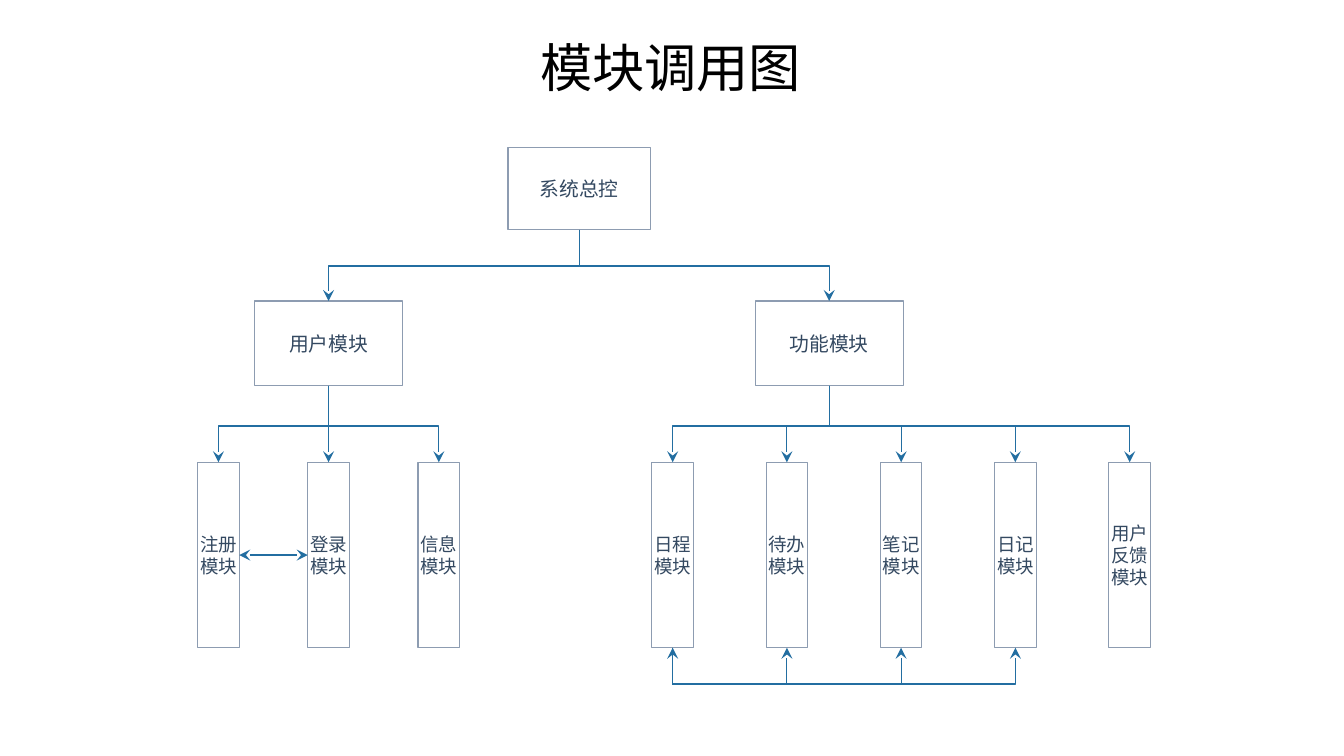
from dataclasses import dataclass

from lxml import etree
from pptx import Presentation
from pptx.dml.color import RGBColor
from pptx.enum.shapes import MSO_CONNECTOR, MSO_SHAPE
from pptx.enum.text import MSO_ANCHOR, MSO_AUTO_SIZE, PP_ALIGN
from pptx.oxml.ns import qn
from pptx.util import Inches, Pt

RECT = MSO_SHAPE.RECTANGLE
STRAIGHT = MSO_CONNECTOR.STRAIGHT
MIDDLE = MSO_ANCHOR.MIDDLE
CENTER = PP_ALIGN.CENTER
GROW = MSO_AUTO_SIZE.SHAPE_TO_FIT_TEXT
TOP, LEFT, BOTTOM, RIGHT = range(4)


@dataclass(frozen=True)
class Theme:
    """Colours, type sizes and line width of the slide."""
    font: str = "Noto Sans CJK SC"
    title: RGBColor = RGBColor(0, 0, 0)
    text: RGBColor = RGBColor.from_string("344961")
    fill: RGBColor = RGBColor.from_string("FFFFFF")
    edge: RGBColor = RGBColor.from_string("8D9CB1")
    flow: RGBColor = RGBColor.from_string("236EA1")
    title_size: float = 28
    node_size: float = 10.6
    leaf_size: float = 9.9
    line: float = 0.6


THEME = Theme()


def write(shape, text, size, color):
    """Put one styled line of text in a shape."""
    shape.text_frame.text = text
    font = shape.text_frame.paragraphs[0].runs[0].font
    font.size = Pt(size)
    font.color.rgb = color
    font.name = THEME.font
    for props in shape.element.iter(qn("a:rPr")):
        etree.SubElement(props, qn("a:ea"), typeface=THEME.font)


def add_node(slide, box, text, size):
    """Draw a module box with centred text."""
    node = slide.shapes.add_shape(RECT, *box)
    node.shadow.inherit = False
    node.fill.solid()
    node.fill.fore_color.rgb = THEME.fill
    node.line.color.rgb = THEME.edge
    node.line.width = Pt(THEME.line)
    frame = node.text_frame
    frame.margin_left = frame.margin_right = 0
    frame.margin_top = frame.margin_bottom = 0
    frame.word_wrap = True
    frame.vertical_anchor = MIDDLE
    write(node, text, size, THEME.text)
    frame.paragraphs[0].alignment = CENTER
    return node


def style_flow(shape, both):
    """Colour a flow line and add its arrowheads."""
    shape.line.color.rgb = THEME.flow
    shape.line.width = Pt(THEME.line)
    line = shape.element.spPr.find(qn("a:ln"))
    for tag in ("a:headEnd", "a:tailEnd") if both else ("a:tailEnd",):
        etree.SubElement(line, qn(tag), type="stealth")


def add_route(slide, points, both=False):
    """Draw a bent flow line through the points."""
    form = slide.shapes.build_freeform(*points[0], scale=1.0)
    form.add_line_segments(points[1:], close=False)
    route = form.convert_to_shape()
    route.shadow.inherit = False
    route.fill.background()
    style_flow(route, both)


def add_link(slide, start, out, end, into, both=False):
    """Join the sides of two nodes with a straight arrow."""
    link = slide.shapes.add_connector(STRAIGHT, 0, 0, 0, 0)
    link.begin_connect(start, out)
    link.end_connect(end, into)
    style_flow(link, both)
    etree.SubElement(link.element.spPr, qn("a:effectLst"))


def mid_x(node):
    """Give the horizontal centre of a node."""
    return node.left + node.width // 2


def add_fan(slide, head, kids, drop):
    """Lead arrows from a node down to each of its children."""
    start, base = mid_x(head), head.top + head.height
    for kid in kids:
        end = mid_x(kid)
        if abs(end - start) < Inches(0.01):
            add_link(slide, head, BOTTOM, kid, TOP)
        else:
            add_route(slide, [(start, base), (start, base + drop),
                              (end, base + drop), (end, kid.top)])


def add_group(slide, box, mid, title, names):
    """Draw a module with its evenly spread parts below it."""
    left, top, width, height = box
    head_w, leaf_w, leaf_h = Inches(1.1), Inches(0.31), Inches(1.38)
    head = add_node(slide, (left + mid - head_w // 2, top, head_w, Inches(0.63)),
                    title, THEME.node_size)
    step = (width - leaf_w) // (len(names) - 1)
    leaves = [add_node(slide, (left + i * step, top + height - leaf_h, leaf_w, leaf_h),
                       name, THEME.leaf_size) for i, name in enumerate(names)]
    add_fan(slide, head, leaves, Inches(0.3))
    return head, leaves


def add_loop(slide, nodes, depth):
    """Join the feet of the nodes by a shared line below them."""
    first, *inner, last = nodes
    base = first.top + first.height
    pairs = [(first, last, True)] + [(first, node, False) for node in inner]
    for start, end, both in pairs:
        a, b = mid_x(start), mid_x(end)
        add_route(slide, [(a, base), (a, base + depth), (b, base + depth), (b, base)], both)


def add_title(slide, box, text):
    """Write the slide title."""
    title = slide.shapes.add_textbox(*box)
    title.text_frame.word_wrap = False
    title.text_frame.auto_size = GROW
    write(title, text, THEME.title_size, THEME.title)


def area(*sides):
    """Turn inches into a box."""
    return tuple(Inches(side) for side in sides)


def main():
    """Build and save the module call chart."""
    deck = Presentation()
    deck.slide_width = Inches(10)
    deck.slide_height = deck.slide_width * 9 // 16
    slide = deck.slides.add_slide(deck.slide_layouts[6])
    add_title(slide, area(3.92, 0.21, 2.17, 0.57), "模块调用图")
    root = add_node(slide, area(3.78, 1.1, 1.06, 0.61), "系统总控", THEME.node_size)
    users = area(1.47, 2.24, 1.95, 2.58)
    user, logins = add_group(slide, users, users[2] // 2, "用户模块",
                             ["注册模块", "登录模块", "信息模块"])
    tool, notes = add_group(slide, area(4.85, 2.24, 3.71, 2.58), Inches(1.32), "功能模块",
                            ["日程模块", "待办模块", "笔记模块", "日记模块", "用户反馈模块"])
    add_fan(slide, root, [user, tool], Inches(0.27))
    add_link(slide, logins[0], RIGHT, logins[1], LEFT, True)
    add_loop(slide, notes[:4], Inches(0.27))
    deck.save("out.pptx")


if __name__ == "__main__":
    main()
